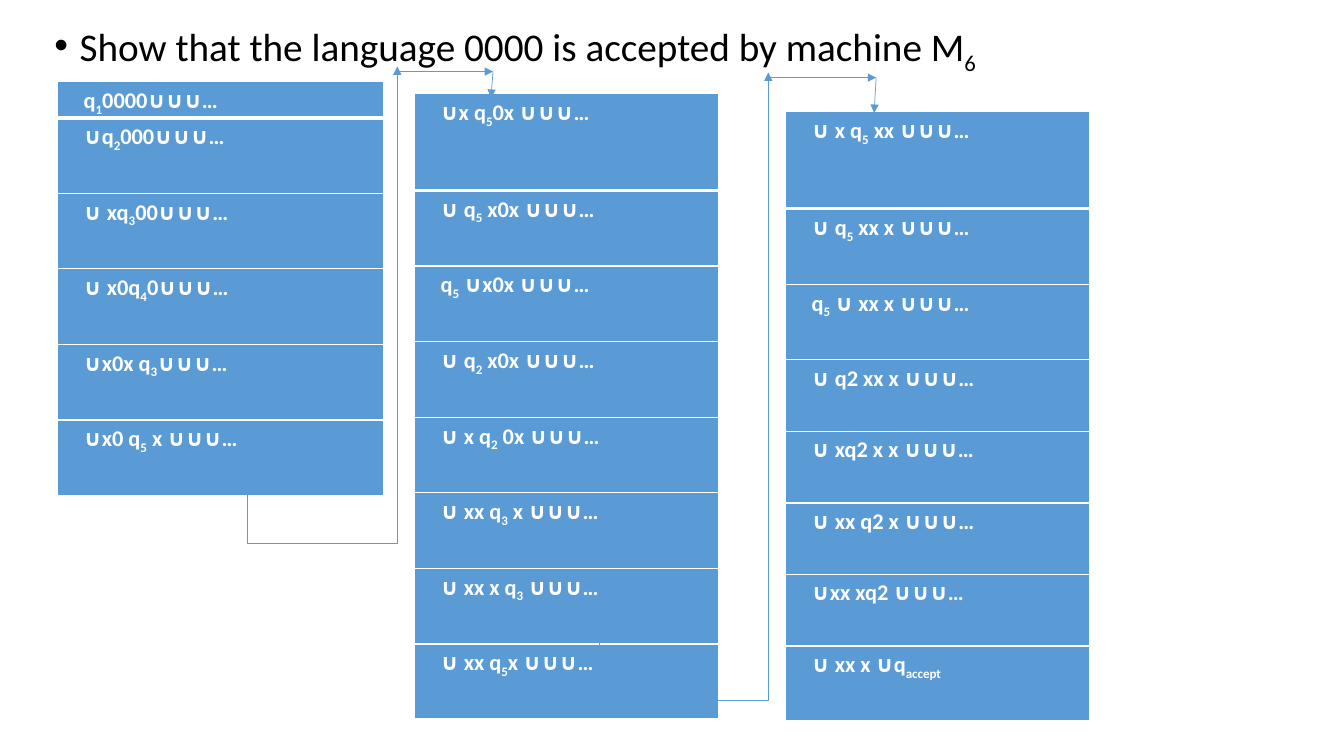
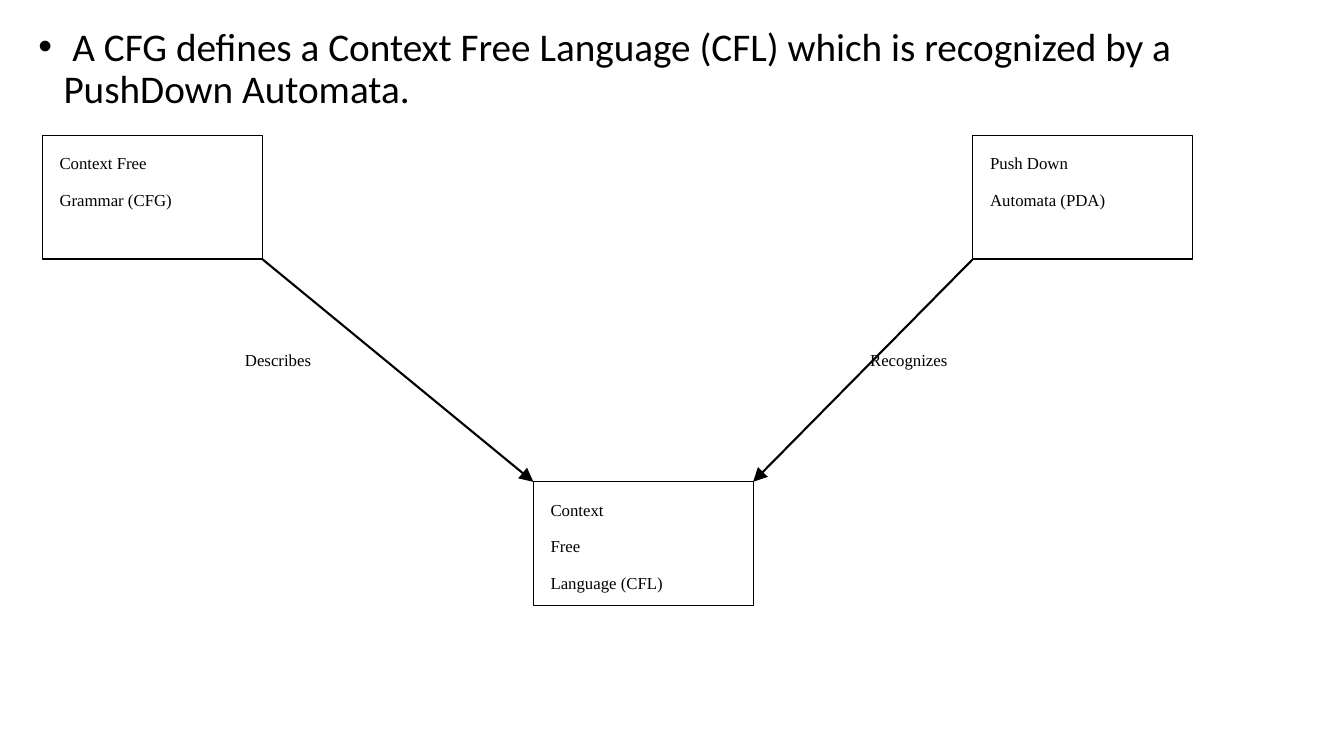
from dataclasses import dataclass

from lxml import etree
from pptx import Presentation
from pptx.dml.color import RGBColor
from pptx.enum.shapes import MSO_CONNECTOR, MSO_SHAPE
from pptx.enum.text import MSO_ANCHOR, MSO_AUTO_SIZE, PP_ALIGN
from pptx.oxml.ns import qn
from pptx.util import Inches, Pt

STRAIGHT = MSO_CONNECTOR.STRAIGHT
ELBOW = MSO_CONNECTOR.ELBOW
RECTANGLE = MSO_SHAPE.RECTANGLE
TOP = MSO_ANCHOR.TOP
NO_FIT = MSO_AUTO_SIZE.NONE
LEFT = PP_ALIGN.LEFT
JUSTIFY = PP_ALIGN.JUSTIFY


@dataclass(frozen=True)
class Theme:
    """Colours, fonts and type sizes of the deck."""
    ink: str = "000000"
    paper: str = "FFFFFF"
    accent: str = "5B9BD5"
    font: str = "Calibri"
    diagram_font: str = "Times New Roman"
    body_size: float = 28
    cell_size: float = 16
    diagram_size: float = 12


class Deck:
    """Builds slides in one style and keeps the current slide."""

    def __init__(self, theme):
        """Start an empty widescreen presentation."""
        self.theme = theme
        self.presentation = Presentation()
        self.presentation.slide_width = Inches(13.33)
        self.presentation.slide_height = Inches(7.5)
        self.slide = None

    def add_slide(self, statement, left, top, width, height):
        """Add a slide whose body holds one bulleted statement."""
        layout = self.presentation.slide_layouts[1]
        self.slide = self.presentation.slides.add_slide(layout)
        title = self.slide.shapes.title.element
        title.getparent().remove(title)
        body = self.slide.placeholders[1]
        body.left, body.top = Inches(left), Inches(top)
        body.width, body.height = Inches(width), Inches(height)
        body.text_frame.auto_size = NO_FIT
        paragraph = body.text_frame.paragraphs[0]
        self.indent(paragraph, 0.25, -0.25)
        properties = paragraph._p.get_or_add_pPr()
        etree.SubElement(properties, qn("a:buFont"), typeface="Arial")
        etree.SubElement(properties, qn("a:buChar"), char="•")
        paragraph.line_spacing = 0.9
        paragraph.space_before = Pt(0)
        self.add_text(paragraph, statement, self.theme.body_size, self.theme.ink)

    def indent(self, paragraph, margin, first_line):
        """Set the left margin and first-line indent of a paragraph."""
        properties = paragraph._p.get_or_add_pPr()
        properties.set("marL", str(Inches(margin)))
        properties.set("indent", str(Inches(first_line)))

    def add_text(self, paragraph, text, size, color, font=None, bold=False):
        """Add text in which the parts between bars are subscripts."""
        for index, part in enumerate(text.split("|")):
            if not part:
                continue
            run = paragraph.add_run()
            run.text = part
            run.font.name = font or self.theme.font
            run.font.size = Pt(size)
            run.font.bold = bold
            run.font.color.rgb = RGBColor.from_string(color)
            if index % 2:
                run._r.get_or_add_rPr().set("baseline", "-25000")

    def border(self, cell, side, width):
        """Draw one border of a table cell."""
        properties = cell._tc.get_or_add_tcPr()
        line = etree.SubElement(properties, qn(f"a:{side}"), w=str(Pt(width)))
        fill = etree.SubElement(line, qn("a:solidFill"))
        etree.SubElement(fill, qn("a:srgbClr"), val=self.theme.paper)

    def configuration_table(self, left, top, width, rows):
        """Add a one-column table from pairs of row height and text."""
        height = sum(row_height for row_height, _ in rows)
        table = self.slide.shapes.add_table(
            len(rows), 1, Inches(left), Inches(top), Inches(width), Inches(height)).table
        table.first_row = table.horz_banding = False
        for index, (row_height, text) in enumerate(rows):
            table.rows[index].height = Inches(row_height)
            cell = table.cell(index, 0)
            for side in ("lnL", "lnR", "lnT", "lnB"):
                heavy = (index, side) in ((0, "lnB"), (1, "lnT"))
                self.border(cell, side, 3 if heavy else 1)
            cell.fill.solid()
            cell.fill.fore_color.rgb = RGBColor.from_string(self.theme.accent)
            cell.margin_left = cell.margin_right = Inches(0.07)
            cell.margin_top, cell.margin_bottom = Inches(0.01), 0
            cell.vertical_anchor = TOP
            paragraph = cell.text_frame.paragraphs[0]
            self.indent(paragraph, 0.2, -0.01)
            paragraph.alignment = JUSTIFY
            paragraph.line_spacing = 1.15
            self.add_text(paragraph, text, self.theme.cell_size, self.theme.paper, bold=True)

    def arrow(self, begin, end, color, width, head="med", kind=STRAIGHT):
        """Add a connector with a triangular head at its end."""
        connector = self.slide.shapes.add_connector(
            kind, *(Inches(value) for value in (*begin, *end)))
        connector.line.color.rgb = RGBColor.from_string(color)
        connector.line.width = Pt(width)
        properties = connector._element.spPr
        etree.SubElement(properties.find(qn("a:ln")), qn("a:tailEnd"),
                         type="triangle", w=head, len=head)
        etree.SubElement(properties, qn("a:effectLst"))
        return connector

    def return_arrow(self, begin, end, turn):
        """Add an elbow arrow that drops to the turn height, then rises to its end."""
        center_x, center_y = (begin[0] + end[0]) / 2, (begin[1] + end[1]) / 2
        rise, run = begin[1] - end[1], end[0] - begin[0]
        connector = self.arrow((center_x + rise / 2, center_y + run / 2),
                               (center_x - rise / 2, center_y - run / 2),
                               self.theme.accent, 0.5, kind=ELBOW)
        properties = connector._element.spPr
        properties.find(qn("a:xfrm")).set("rot", str(90 * 60000))
        guides = properties.find(qn("a:prstGeom")).find(qn("a:avLst"))
        ratio = round((begin[1] - turn) / rise * 100000)
        etree.SubElement(guides, qn("a:gd"), name="adj1", fmla=f"val {ratio}")

    def column_link(self, begin, turn, corner, target):
        """Lead from the foot of one table to the head of the next."""
        self.return_arrow(begin, (corner[0], corner[1] - 0.05), turn)
        above = (target[0] + 0.02, corner[1])
        self.arrow(corner, above, self.theme.accent, 0.5)
        self.arrow(above, target, self.theme.accent, 0.5)

    def diagram_text(self, frame, lines, margin_left=0, margin_top=0):
        """Fill a text frame with diagram lines."""
        frame.word_wrap = True
        frame.vertical_anchor = TOP
        frame.margin_left, frame.margin_top = Inches(margin_left), Inches(margin_top)
        frame.margin_right = frame.margin_bottom = 0
        for index, text in enumerate(lines):
            paragraph = frame.add_paragraph() if index else frame.paragraphs[0]
            paragraph.alignment = LEFT
            paragraph.line_spacing = 1.07
            paragraph.space_after = Pt(10.8)
            self.add_text(paragraph, text, self.theme.diagram_size, self.theme.ink,
                          self.theme.diagram_font)

    def box(self, left, top, lines):
        """Add an outlined box with lines of text."""
        shape = self.slide.shapes.add_shape(
            RECTANGLE, Inches(left), Inches(top), Inches(BOX_WIDTH), Inches(BOX_HEIGHT))
        shape.shadow.inherit = False
        shape.fill.background()
        shape.line.color.rgb = RGBColor.from_string(self.theme.ink)
        shape.line.width = Pt(0.75)
        self.diagram_text(shape.text_frame, lines, 0.17, 0.16)

    def label(self, left, top, text):
        """Add a label beside an arrow."""
        shape = self.slide.shapes.add_textbox(
            Inches(left), Inches(top), Inches(1.6), Inches(0.38))
        self.diagram_text(shape.text_frame, [text])


BOX_WIDTH, BOX_HEIGHT = 2.18, 1.23

FIRST_STEPS = [
    (0.35, "q|1|0000∪∪∪…"),
    (0.75, "∪q|2|000∪∪∪…"),
    (0.75, "∪ xq|3|00∪∪∪…"),
    (0.75, "∪ x0q|4|0∪∪∪…"),
    (0.75, "∪x0x q|3|∪∪∪…"),
    (0.75, "∪x0 q|5| x ∪∪∪…"),
]
MIDDLE_STEPS = [
    (0.96, "∪x q|5|0x ∪∪∪…"),
    (0.75, "∪ q|5| x0x ∪∪∪…"),
    (0.75, "q|5| ∪x0x ∪∪∪…"),
    (0.75, "∪ q|2| x0x ∪∪∪…"),
    (0.75, "∪ x q|2| 0x ∪∪∪…"),
    (0.75, "∪ xx q|3| x ∪∪∪…"),
    (0.75, "∪ xx x q|3| ∪∪∪…"),
    (0.74, "∪ xx q|5|x ∪∪∪…"),
]
LAST_STEPS = [
    (0.96, "∪ x q|5| xx ∪∪∪…"),
    (0.75, "∪ q|5| xx x ∪∪∪…"),
    (0.75, "q|5| ∪ xx x ∪∪∪…"),
    (0.71, "∪ q2 xx x ∪∪∪…"),
    (0.71, "∪ xq2 x x ∪∪∪…"),
    (0.71, "∪ xx q2 x ∪∪∪…"),
    (0.71, "∪xx xq2 ∪∪∪…"),
    (0.74, "∪ xx x ∪q|accept|"),
]


def build_computation(deck):
    """Build the slide that traces the machine on 0000."""
    deck.add_slide("Show that the language 0000 is accepted by machine M|6|",
                   0.44, 0.18, 11.5, 4.76)
    deck.configuration_table(0.57, 0.81, 3.23, FIRST_STEPS)
    deck.configuration_table(4.11, 0.93, 3.02, MIDDLE_STEPS)
    deck.configuration_table(7.79, 1.11, 3.02, LAST_STEPS)
    deck.column_link((2.45, 4.58), 5.39, (3.94, 0.71), (4.87, 0.97))
    deck.column_link((5.94, 5.87), 6.95, (7.62, 0.77), (8.67, 1.12))


def build_grammar(deck):
    """Build the slide that relates grammar, language and automaton."""
    deck.add_slide(" A CFG defines a Context Free Language (CFL) which is recognized "
                   "by a PushDown Automata.", 0.28, 0.22, 12.56, 6.86)
    grammar_left, language_left, automaton_left = 0.42, 5.29, 9.65
    upper, lower = 1.34, 4.78
    deck.box(grammar_left, upper, ["Context Free", "Grammar (CFG)"])
    deck.box(language_left, lower, ["Context", "Free", "Language (CFL)"])
    deck.box(automaton_left, upper, ["Push Down", "Automata (PDA)"])
    foot = upper + BOX_HEIGHT
    for begin_x, end_x in ((grammar_left + BOX_WIDTH, language_left),
                           (automaton_left, language_left + BOX_WIDTH)):
        deck.arrow((begin_x, foot), (end_x, lower), deck.theme.ink, 1.5, "lg")
    deck.label(2.43, 3.46, "Describes")
    deck.label(8.63, 3.46, "Recognizes")


def main():
    """Build both slides and save the presentation."""
    deck = Deck(Theme())
    build_computation(deck)
    build_grammar(deck)
    deck.presentation.save("out.pptx")


if __name__ == "__main__":
    main()
